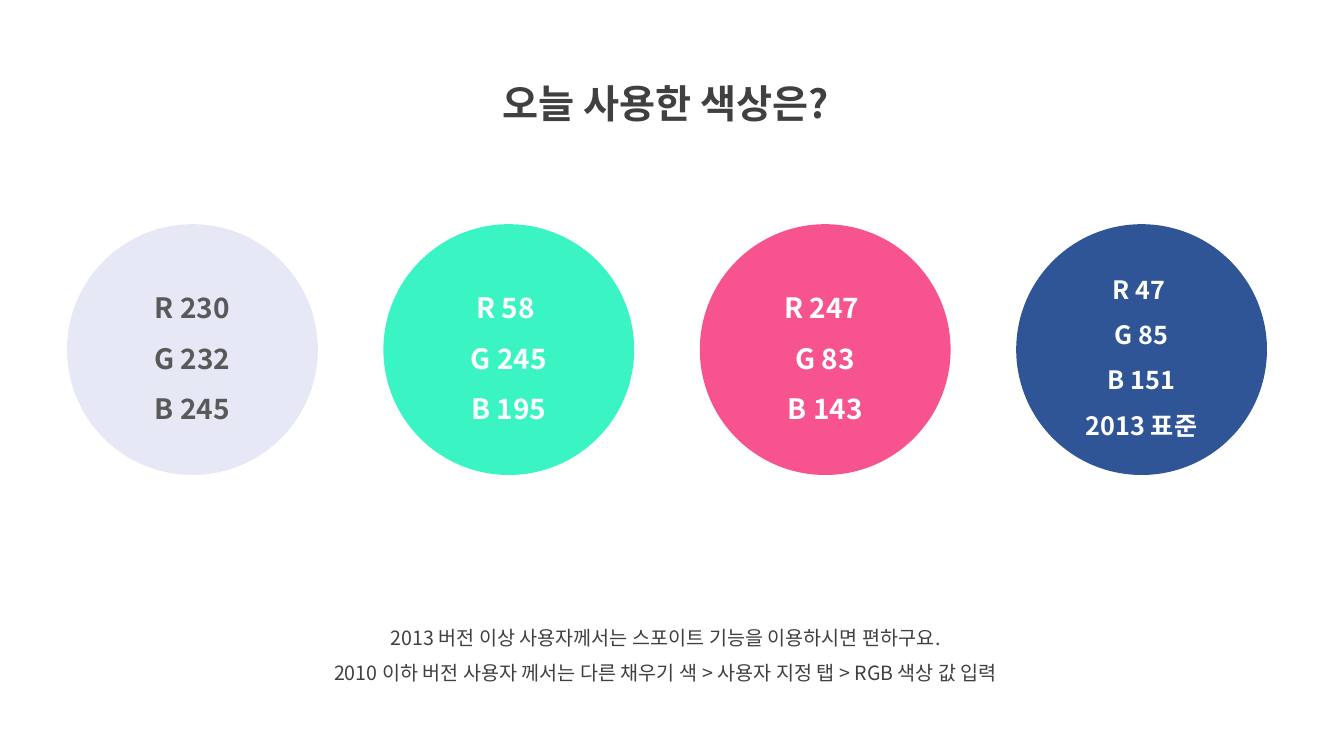
import pptx
import pptx.dml.color
import pptx.enum.shapes
import pptx.enum.text
import pptx.oxml.ns
import pptx.util
from lxml import etree

Cm = pptx.util.Cm
RGB = pptx.dml.color.RGBColor
ANCHOR = pptx.enum.text.MSO_ANCHOR

FONT = "Noto Sans CJK KR"
DARK = RGB(0x40, 0x40, 0x40)
GREY = RGB(0x59, 0x59, 0x59)
WHITE = RGB(0xFF, 0xFF, 0xFF)
PALE = RGB(0xE6, 0xE8, 0xF5)
MINT = RGB(0x3A, 0xF5, 0xC3)
PINK = RGB(0xF7, 0x53, 0x8F)
NAVY = RGB(0x2F, 0x55, 0x97)

# Fill, text colour, text size, lines
SWATCHES = [
    (PALE, GREY, 20, ["R 230", "G 232", "B 245"]),
    (MINT, WHITE, 20, ["R 58 ", "G 245", "B 195"]),
    (PINK, WHITE, 20, ["R 247 ", "G 83", "B 143"]),
    (NAVY, WHITE, 18, ["R 47 ", "G 85", "B 151", "2013 표준"]),
]
NOTES = [
    "2013 버전 이상 사용자께서는 스포이트 기능을 이용하시면 편하구요.",
    "2010 이하 버전 사용자 께서는 다른 채우기 색 > 사용자 지정 탭 > RGB 색상 값 입력",
]


def write(frame, lines, size, color, bold=False):
    """Fill a text frame with centred lines."""
    frame.word_wrap = True
    for i, line in enumerate(lines):
        para = frame.add_paragraph() if i else frame.paragraphs[0]
        para.alignment = pptx.enum.text.PP_ALIGN.CENTER
        para.line_spacing = 1.5
        run = para.add_run()
        run.text = line
        font = run.font
        font.name = FONT
        font.size = pptx.util.Pt(size)
        font.bold = bold
        font.color.rgb = color
        # Korean glyphs take the East Asian typeface
        props = run._r.get_or_add_rPr()
        etree.SubElement(props, pptx.oxml.ns.qn("a:ea"), typeface=FONT)


def add_text(slide, box, lines, size, bold=False):
    """Place a dark text block in the box."""
    frame = slide.shapes.add_textbox(*map(Cm, box)).text_frame
    write(frame, lines, size, DARK, bold)


def add_row(slide, box):
    """Spread the colour circles evenly over the box."""
    left, top, width, side = box
    step = (width - side) / (len(SWATCHES) - 1)
    for i, (fill, color, size, lines) in enumerate(SWATCHES):
        disc = slide.shapes.add_shape(
            pptx.enum.shapes.MSO_SHAPE.OVAL,
            Cm(left + i * step), Cm(top), Cm(side), Cm(side))
        disc.shadow.inherit = False
        disc.fill.solid()
        disc.fill.fore_color.rgb = fill
        disc.line.fill.background()
        disc.text_frame.vertical_anchor = ANCHOR.MIDDLE
        write(disc.text_frame, lines, size, color, True)


def main():
    deck = pptx.Presentation()
    deck.slide_width, deck.slide_height = Cm(33.87), Cm(19.05)
    slide = deck.slides.add_slide(deck.slide_layouts[6])

    # Title, colour circles, closing notes
    add_text(slide, (10.9, 1.27, 11.76, 1.83), ["오늘 사용한 색상은?"], 28, True)
    add_row(slide, (1.69, 5.65, 30.24, 6.32))
    add_text(slide, (6.63, 15.34, 20.29, 2.06), NOTES, 14)

    deck.save("out.pptx")


if __name__ == "__main__":
    main()
